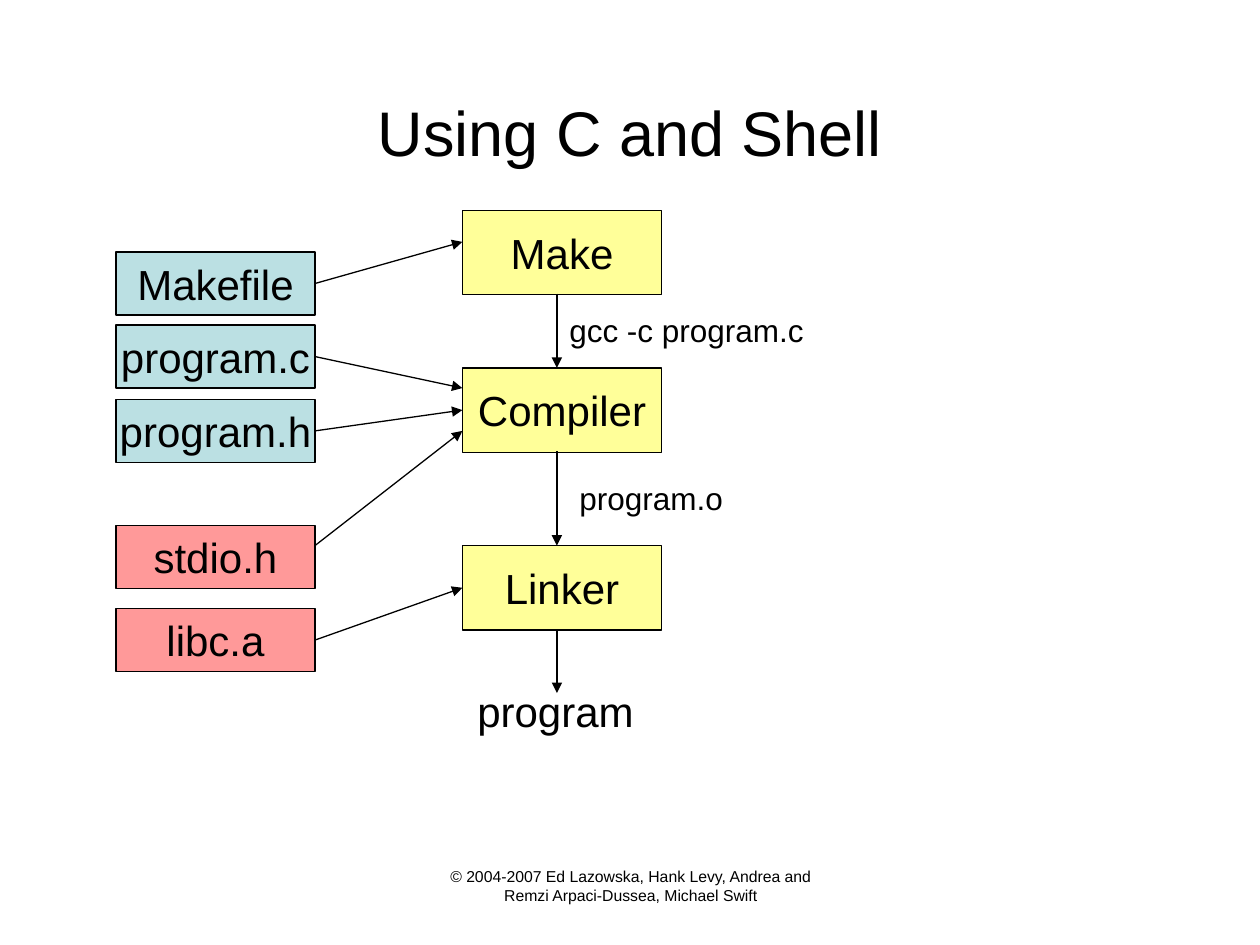
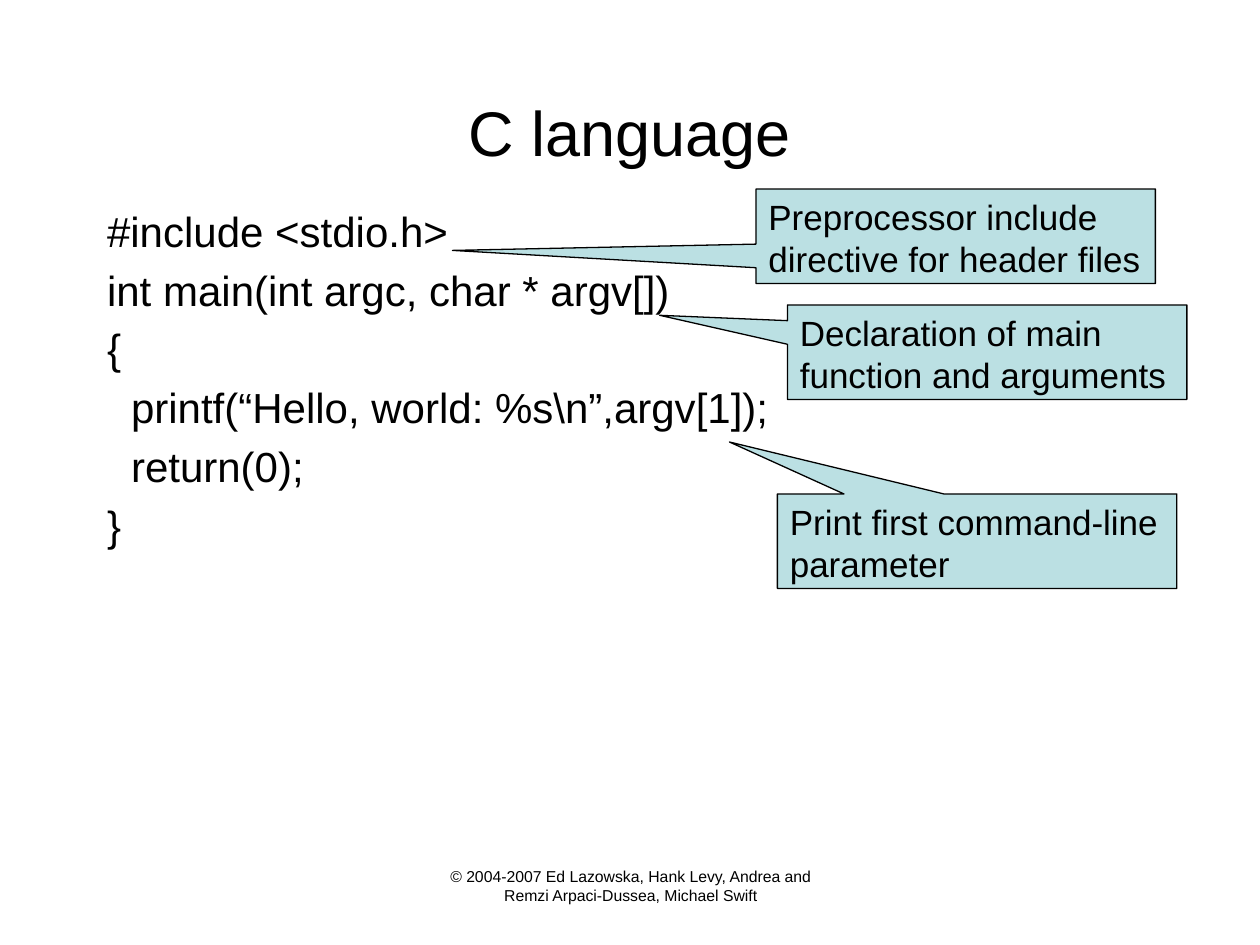
"""Build two slides on the C toolchain and a first C program."""
from dataclasses import dataclass

import lxml.etree
import pptx
import pptx.dml.color
import pptx.enum.shapes
import pptx.enum.text
import pptx.oxml.ns
import pptx.util

Inches = pptx.util.Inches
Pt = pptx.util.Pt
Align = pptx.enum.text.PP_ALIGN
Anchor = pptx.enum.text.MSO_ANCHOR
Shape = pptx.enum.shapes.MSO_SHAPE
qn = pptx.oxml.ns.qn
LAYOUTS = {"title": 5, "list": 1}
LEFT, RIGHT = 1, 3


@dataclass(frozen=True)
class Theme:
    font: str = "Arial"
    ink: str = "000000"
    own_file: str = "BBE0E3"
    system_file: str = "FF9999"
    tool: str = "FFFF99"
    title: int = 36
    main: int = 24
    callout: int = 20
    label: int = 18
    footer: int = 9
    line: float = 0.75


THEME = Theme()
FOOTER = "© 2004-2007 Ed Lazowska, Hank Levy, Andrea and Remzi Arpaci-Dussea, Michael Swift"


def color(value):
    return pptx.dml.color.RGBColor.from_string(value)


def write(frame, text, size=THEME.main, align=Align.LEFT, anchor=Anchor.TOP,
          wrap=True, before=0):
    frame.auto_size = pptx.enum.text.MSO_AUTO_SIZE.NONE
    frame.word_wrap = wrap
    frame.vertical_anchor = anchor
    for index, line in enumerate(text.split("\n")):
        paragraph = frame.add_paragraph() if index else frame.paragraphs[0]
        paragraph.alignment = align
        paragraph.space_before = Pt(before)
        run = paragraph.add_run()
        run.text = line
        run.font.name = THEME.font
        run.font.size = Pt(size)
        run.font.color.rgb = color(THEME.ink)


class Deck:
    def __init__(self, theme):
        self.theme = theme
        self.show = pptx.Presentation()
        self.show.slide_width = Inches(10)
        self.show.slide_height = Inches(7.5)
        self.slide = None

    def start(self, title, layout="title"):
        self.slide = self.show.slides.add_slide(
            self.show.slide_layouts[LAYOUTS[layout]])
        heading = self.place(self.slide.shapes.title, 0.75, 0.67, 8.5, 0.75)
        write(heading.text_frame, title, size=self.theme.title,
              align=Align.CENTER, anchor=Anchor.MIDDLE)
        self.label(FOOTER, 3.42, 6.83, 3.17, 0.5, size=self.theme.footer,
                   align=Align.CENTER)

    def place(self, shape, left, top, width, height):
        shape.left, shape.top = Inches(left), Inches(top)
        shape.width, shape.height = Inches(width), Inches(height)
        return shape

    def label(self, text, left, top, width, height, **style):
        area = self.slide.shapes.add_textbox(
            Inches(left), Inches(top), Inches(width), Inches(height))
        write(area.text_frame, text, **style)

    def filled(self, kind, text, left, top, width, height, fill, **style):
        shape = self.slide.shapes.add_shape(
            kind, Inches(left), Inches(top), Inches(width), Inches(height))
        shape.shadow.inherit = False
        shape.fill.solid()
        shape.fill.fore_color.rgb = color(fill)
        shape.line.color.rgb = color(self.theme.ink)
        shape.line.width = Pt(self.theme.line)
        write(shape.text_frame, text, **style)
        return shape

    def box(self, text, left, top, height, fill):
        return self.filled(Shape.RECTANGLE, text, left, top, 1.58, height, fill,
                           align=Align.CENTER, anchor=Anchor.MIDDLE, wrap=False)

    def callout(self, text, left, top, tip):
        shape = self.filled(Shape.RECTANGULAR_CALLOUT, text, left, top, 3.17, 0.75,
                            self.theme.own_file, size=self.theme.callout)
        shape.adjustments[0], shape.adjustments[1] = tip

    def arrow(self, start, end, source=None, target=None):
        link = self.slide.shapes.add_connector(
            pptx.enum.shapes.MSO_CONNECTOR.STRAIGHT,
            *(Inches(length) for length in (*start, *end)))
        link.line.color.rgb = color(self.theme.ink)
        link.line.width = Pt(self.theme.line)
        properties = link._element.spPr
        lxml.etree.SubElement(properties.find(qn("a:ln")), qn("a:tailEnd"),
                              type="triangle")
        lxml.etree.SubElement(properties, qn("a:effectLst"))
        if source is not None:
            link.begin_connect(source, RIGHT)
        if target is not None:
            link.end_connect(target, LEFT)

    def code(self, lines):
        body = self.place(self.slide.placeholders[1], 0.75, 1.58, 8.5, 5.08)
        write(body.text_frame, "\n".join(text for _, text in lines), before=4.8)
        for (level, _), paragraph in zip(lines, body.text_frame.paragraphs):
            properties = paragraph._p.get_or_add_pPr()
            properties.set("marL", str(Inches(0.19 * level)))
            properties.set("indent", "0")
            lxml.etree.SubElement(properties, qn("a:buNone"))


def build_toolchain(deck):
    theme = deck.theme
    file_left, tool_left = 0.92, 3.67
    file_right, flow = 2.5, 4.42
    deck.start("Using C and Shell")
    files = {
        name: deck.box(name, file_left, top, 0.5, fill)
        for name, top, fill in (
            ("Makefile", 2, theme.own_file),
            ("program.c", 2.58, theme.own_file),
            ("program.h", 3.17, theme.own_file),
            ("stdio.h", 4.17, theme.system_file),
            ("libc.a", 4.83, theme.system_file))}
    tools = {
        name: deck.box(name, tool_left, top, 0.67, theme.tool)
        for name, top in (("Make", 1.67), ("Compiler", 2.92), ("Linker", 4.33))}
    for leave, arrive, source, target in (
            (2.25, 1.92, files["Makefile"], None),
            (2.83, 3.08, files["program.c"], None),
            (3.42, 3.25, files["program.h"], tools["Compiler"]),
            (4.33, 3.42, None, None),
            (5.08, 4.67, files["libc.a"], tools["Linker"])):
        deck.arrow((file_right, leave), (tool_left, arrive), source, target)
    for leave, arrive in ((2.33, 2.92), (3.58, 4.33), (5, 5.5)):
        deck.arrow((flow, leave), (flow, arrive))
    deck.label("program", 3.69, 5.39, 1.44, 0.5, wrap=False)
    deck.label("gcc -c program.c", flow, 2.42, 4.23, 0.4, size=theme.label)
    deck.label("program.o", 4.5, 3.75, 1.5, 0.4, size=theme.label)


def build_language(deck):
    deck.start("C language", layout="list")
    deck.code((
        (0, "#include <stdio.h>"),
        (0, "int main(int argc, char * argv[])"),
        (0, "{"),
        (1, "printf(“Hello, world: %s\\n”,argv[1]);"),
        (1, "return(0);"),
        (0, "}")))
    for text, left, top, tip in (
            ("Preprocessor include directive for header files", 6, 1.5, (-1.26, 0.15)),
            ("Declaration of main function and arguments", 6.25, 2.42, (-0.82, -0.39)),
            ("Print first command-line parameter", 6.17, 3.92, (-0.62, -1.05))):
        deck.callout(text, left, top, tip)


def main():
    deck = Deck(THEME)
    build_toolchain(deck)
    build_language(deck)
    deck.show.save("out.pptx")


if __name__ == "__main__":
    main()
